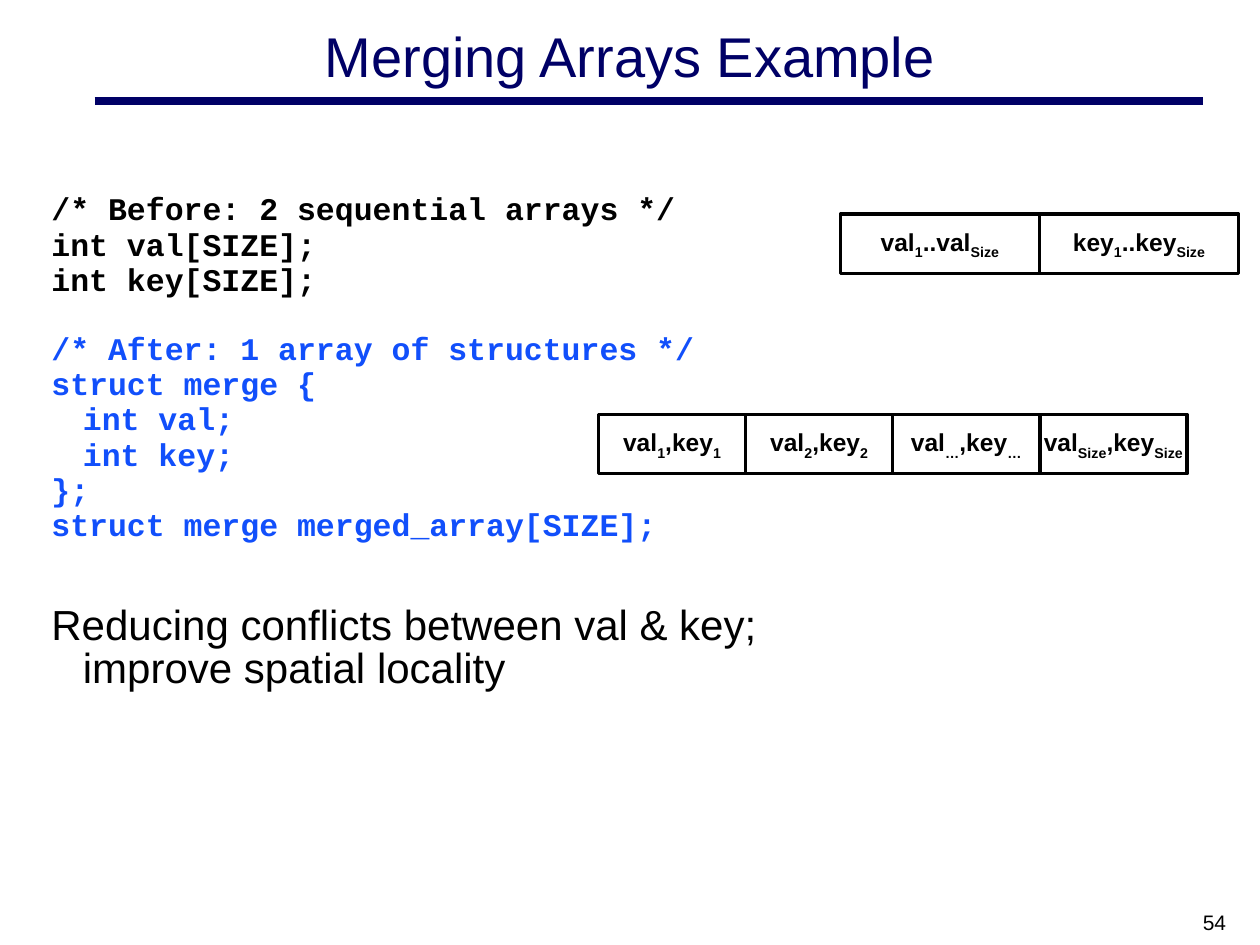
from pptx import Presentation
from pptx.dml.color import RGBColor
from pptx.enum.shapes import MSO_CONNECTOR, MSO_SHAPE
from pptx.enum.text import MSO_ANCHOR, PP_ALIGN
from pptx.oxml.ns import qn
from pptx.util import Inches, Pt
from lxml.etree import SubElement

W, H = 10, 7.5
NAVY, BLUE, BLACK, WHITE = "000066", "114FFB", "000000", "FFFFFF"
LINE_SPACING = 0.85
INDENT = 0.25

BEFORE = ["/* Before: 2 sequential arrays */", "int val[SIZE];", "int key[SIZE];"]
AFTER = ["/* After: 1 array of structures */", "struct merge {", "\tint val;",
         "\tint key;", "};", "struct merge merged_array[SIZE];"]
SUMMARY = "Reducing conflicts between val & key;\vimprove spatial locality"

SEPARATE = [("val", "1", "..val", "Size"), ("key", "1", "..key", "Size")]
MERGED = [("val", i, ",key", i) for i in ("1", "2", "…", "Size")]


def color(value):
    return RGBColor.from_string(value)


def inches(box):
    return [Inches(v) for v in box]


def set_font(font, size, fill, name="Arial", bold=False):
    font.name, font.size, font.bold = name, Pt(size), bold
    font.color.rgb = color(fill)


def add_text(s, box, text, size, fill, align, anchor=MSO_ANCHOR.TOP):
    tf = s.shapes.add_textbox(*inches(box)).text_frame
    tf.word_wrap = True
    tf.vertical_anchor = anchor
    p = tf.paragraphs[0]
    p.text, p.alignment = text, align
    set_font(p.font, size, fill)


def add_header(s, box):
    x, y, w, h = box
    add_text(s, box, "Merging Arrays Example", 32, NAVY, PP_ALIGN.CENTER, MSO_ANCHOR.MIDDLE)
    rule = s.shapes.add_connector(MSO_CONNECTOR.STRAIGHT,
                                  *inches((x + 0.25, y + h, x + w + 0.05, y + h)))
    rule.line.color.rgb = color(NAVY)
    rule.line.width = Pt(4.5)
    SubElement(rule._element.spPr, qn("a:effectLst"))


def add_paragraph(tf, text, before, *font):
    p = tf.paragraphs[0] if not tf.text else tf.add_paragraph()
    p.text = text
    p.line_spacing, p.space_before = LINE_SPACING, Pt(before)
    set_font(p.font, *font)
    pPr = p._p.get_or_add_pPr()
    pPr.set("marL", str(Inches(INDENT)))
    pPr.set("indent", str(-Inches(INDENT)))


def add_body(s, box):
    tf = s.shapes.add_textbox(*inches(box)).text_frame
    tf.word_wrap = True
    for lines, gap, fill in ((BEFORE, 1.8, BLACK), (AFTER, 20.9, BLUE)):
        for i, line in enumerate(lines):
            add_paragraph(tf, line, 1.8 if i else gap, 18, fill, "Courier New", True)
    add_paragraph(tf, SUMMARY, 36, 24, BLACK)


def add_memory_row(s, box, cells):
    x, y, w, h = box
    cell_w = w / len(cells)
    for i, parts in enumerate(cells):
        sp = s.shapes.add_shape(MSO_SHAPE.RECTANGLE, *inches((x + i * cell_w, y, cell_w, h)))
        sp.shadow.inherit = False
        sp.fill.solid()
        sp.fill.fore_color.rgb = color(WHITE)
        sp.line.color.rgb = color(BLACK)
        sp.line.width = Pt(2)
        tf = sp.text_frame
        tf.word_wrap = False
        tf.vertical_anchor = MSO_ANCHOR.MIDDLE
        p = tf.paragraphs[0]
        p.alignment = PP_ALIGN.CENTER
        set_font(p.font, 14, BLACK, bold=True)
        for j, part in enumerate(parts):
            r = p.add_run()
            r.text = part
            if j % 2:
                r.font._element.set("baseline", "-25000")


def main():
    prs = Presentation()
    prs.slide_width, prs.slide_height = Inches(W), Inches(H)
    s = prs.slides.add_slide(prs.slide_layouts[6])
    add_header(s, (0.05 * W, 0.08, 0.9 * W, 0.72))
    add_body(s, (0.31, 0.2 * H, 0.9 * W, 0.6 * H))
    add_memory_row(s, (6.67, 1.7, 3.16, 0.47), SEPARATE)
    add_memory_row(s, (4.75, 3.29, 4.67, 0.47), MERGED)
    add_text(s, (0.75 * W, 7.17, 2.33, 0.25), "54", 12, BLACK, PP_ALIGN.RIGHT)
    prs.save("out.pptx")


if __name__ == "__main__":
    main()
